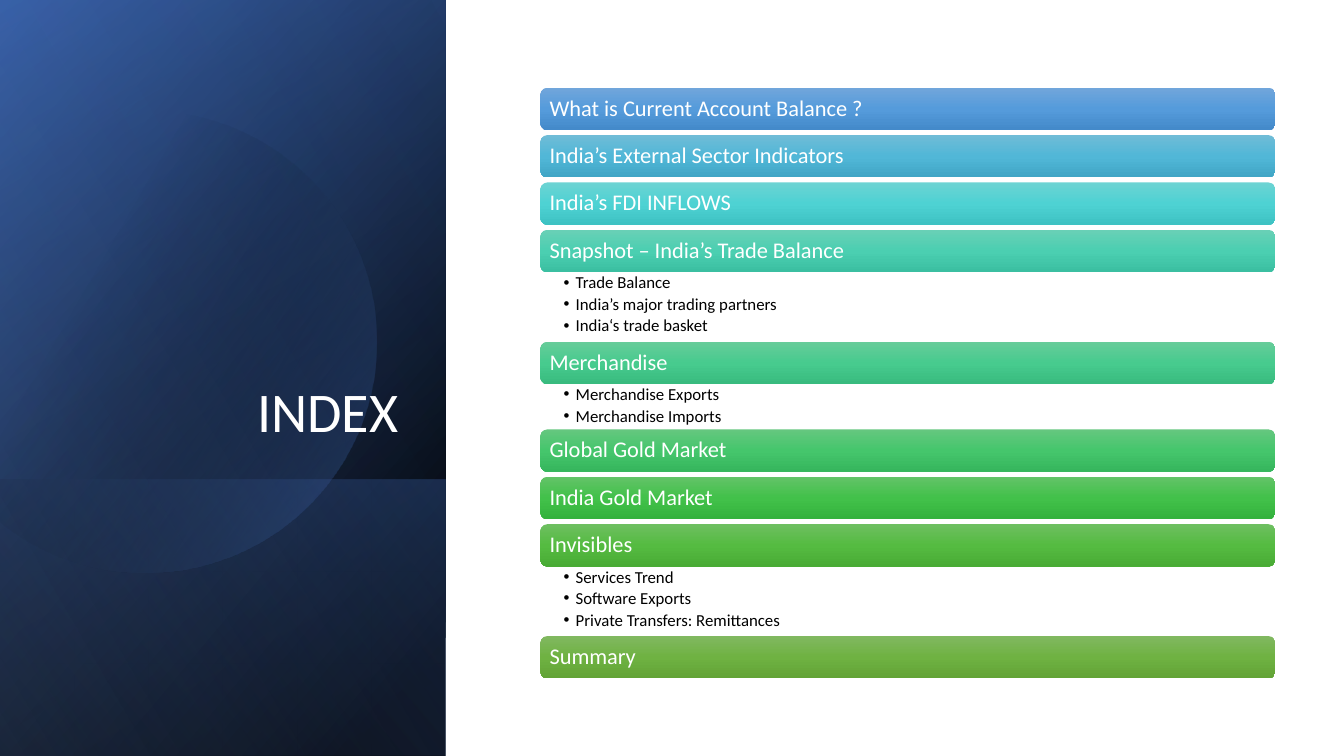
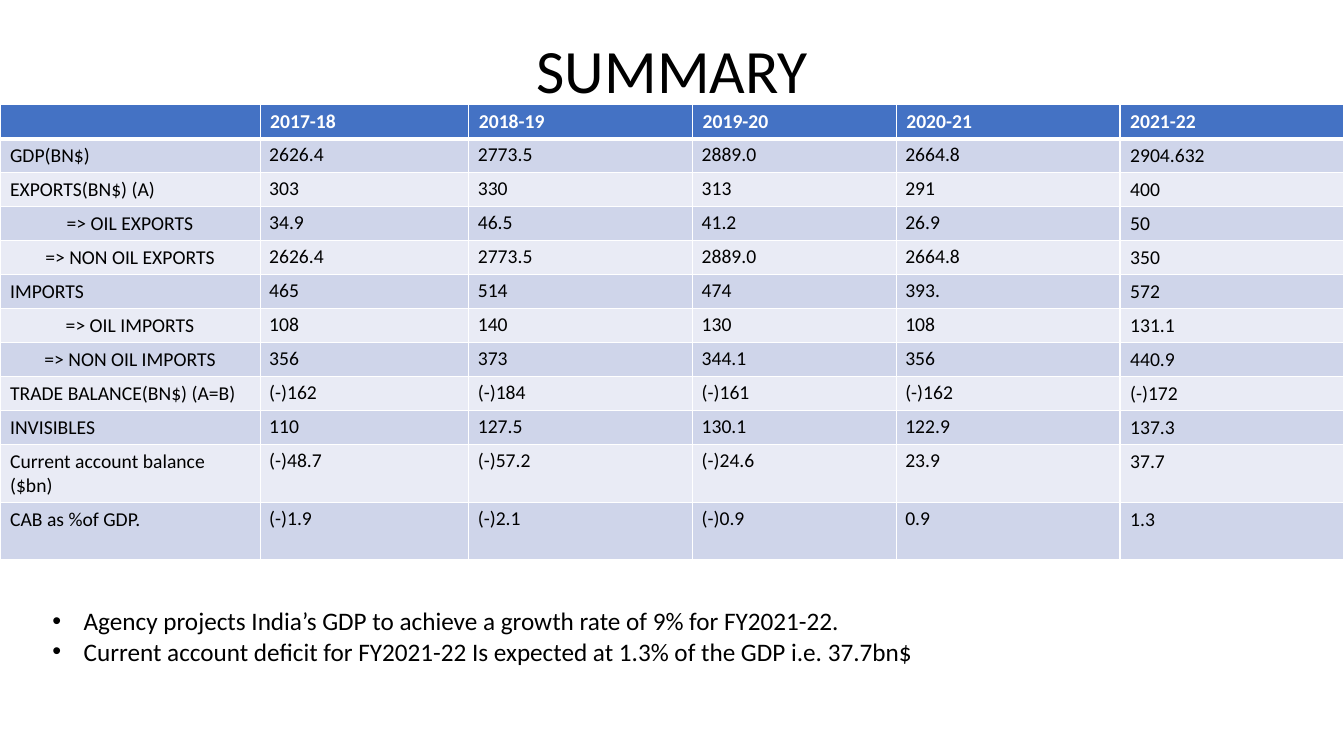
from dataclasses import dataclass
from math import acos, cos, sin

from lxml import etree
from pptx import Presentation
from pptx.dml.color import RGBColor
from pptx.enum.shapes import MSO_SHAPE
from pptx.enum.text import MSO_ANCHOR, MSO_AUTO_SIZE, PP_ALIGN
from pptx.oxml.ns import qn
from pptx.util import Inches, Pt

RECT, ROUND_RECT = MSO_SHAPE.RECTANGLE, MSO_SHAPE.ROUNDED_RECTANGLE
LEFT, CENTER, RIGHT = PP_ALIGN.LEFT, PP_ALIGN.CENTER, PP_ALIGN.RIGHT
TOP, MIDDLE, BOTTOM = MSO_ANCHOR.TOP, MSO_ANCHOR.MIDDLE, MSO_ANCHOR.BOTTOM
NO_AUTOFIT = MSO_AUTO_SIZE.NONE


@dataclass(frozen=True)
class Theme:
    font: str = "Calibri"
    white: str = "FFFFFF"
    black: str = "000000"
    accent: str = "4472C4"
    accent_dark: str = "2F5597"
    accent_light: str = "8FAADC"
    row_odd: str = "CFD5EA"
    row_even: str = "E9EBF5"
    index_title: int = 40
    title: int = 44
    body: int = 18
    bar: int = 16
    cell: int = 14
    sub_item: int = 12


THEME = Theme()
SLIDE_W, SLIDE_H = 13.33, 7.5
PANEL_W = 4.42

INDEX = [  # heading, gradient from top to bottom, sub-items
    ("What is Current Account Balance ?", ("71A6DB", "559BDB", "448ACA"), []),
    ("India’s External Sector Indicators", ("6FBCD7", "51B7D7", "41A6C6"), []),
    ("India’s FDI INFLOWS", ("6CD3D3", "4ED2D3", "3EC2C3"), []),
    ("Snapshot – India’s Trade Balance", ("69D0B6", "4BCFB1", "3BBFA1"),
     ["Trade Balance", "India’s major trading partners", "India‘s trade basket"]),
    ("Merchandise", ("67CC9A", "47CB8E", "39BB7F"),
     ["Merchandise Exports", "Merchandise Imports"]),
    ("Global Gold Market", ("65C77F", "45C66C", "36B65D"), []),
    ("India Gold Market", ("63C368", "42C14A", "34B23D"), []),
    ("Invisibles", ("6EBF61", "55BB41", "49AB35"),
     ["Services Trend", "Software Exports", "Private Transfers: Remittances"]),
    ("Summary", ("81B861", "6FB242", "62A336"), []),
]

SUMMARY = [
    ("", "2017-18", "2018-19", "2019-20", "2020-21", "2021-22"),
    ("GDP(BN$)", "2626.4", "2773.5", "2889.0", "2664.8", "2904.632"),
    ("EXPORTS(BN$) (A)", "303", "330", "313", "291", "400"),
    ("=> OIL EXPORTS", "34.9", "46.5", "41.2", "26.9", "50"),
    ("=> NON OIL EXPORTS", "2626.4", "2773.5", "2889.0", "2664.8", "350"),
    ("IMPORTS", "465", "514", "474", "393.", "572"),
    ("=> OIL IMPORTS", "108", "140", "130", "108", "131.1"),
    ("=> NON OIL IMPORTS", "356", "373", "344.1", "356", "440.9"),
    ("TRADE BALANCE(BN$) (A=B)", "(-)162", "(-)184", "(-)161", "(-)162", "(-)172"),
    ("INVISIBLES", "110", "127.5", "130.1", "122.9", "137.3"),
    ("Current account balance ($bn)", "(-)48.7", "(-)57.2", "(-)24.6", "23.9", "37.7"),
    ("CAB as %of GDP.", "(-)1.9", "(-)2.1", "(-)0.9", "0.9", "1.3"),
]
COLUMN_WIDTHS = (2.58, 2.07, 2.22, 2.02, 2.22, 2.22)
ROW_H, TALL_ROW_H = 0.33, 0.57
TALL_ROWS = (10, 11)

OUTLOOK = [
    "Agency projects India’s GDP to achieve a growth rate of 9% for FY2021-22.",
    "Current account deficit for FY2021-22 Is expected at 1.3% of the GDP i.e. 37.7bn$",
]


def write_text(tf, lines, *, size, color=THEME.black, bold=False, align=LEFT, anchor=TOP,
               insets=None, line_spacing=1.0, space_after=0, bullet_indent=None):
    """Fill a text frame with one paragraph per line; insets are left, top, right, bottom."""
    tf.word_wrap = True
    tf.auto_size = NO_AUTOFIT
    tf.vertical_anchor = anchor
    if insets:
        tf.margin_left, tf.margin_top, tf.margin_right, tf.margin_bottom = map(Inches, insets)
    for i, line in enumerate(lines):
        p = tf.paragraphs[0] if i == 0 else tf.add_paragraph()
        if bullet_indent:
            add_bullet(p, bullet_indent)
        p.alignment = align
        p.line_spacing = line_spacing
        p.space_before = Pt(0)
        p.space_after = Pt(space_after)
        if not line:
            etree.SubElement(p._p, qn("a:endParaRPr"), sz=str(size * 100))
            continue
        r = p.add_run()
        r.text = line
        r.font.name = THEME.font
        r.font.size = Pt(size)
        r.font.bold = bold
        r.font.color.rgb = RGBColor.from_string(color)


def add_bullet(p, indent):
    pPr = p._p.get_or_add_pPr()
    pPr.set("marL", str(Inches(indent)))
    pPr.set("indent", str(-Inches(indent)))
    etree.SubElement(pPr, qn("a:buFont"), typeface="Arial")
    etree.SubElement(pPr, qn("a:buChar"), char="•")


def place(sp, left, top, width, height):
    sp.left, sp.top, sp.width, sp.height = map(Inches, (left, top, width, height))


def paint_gradient(sp, stops, angle):
    """Give a shape a borderless gradient; stops are (position %, colour, opacity %)."""
    sp.shadow.inherit = False
    sp.line.fill.background()
    sp.fill.gradient()
    sp.fill.gradient_angle = 360 - angle
    stop_list = sp._element.spPr.find(".//" + qn("a:gsLst"))
    for old in list(stop_list):
        stop_list.remove(old)
    for position, color, opacity in stops:
        gs = etree.SubElement(stop_list, qn("a:gs"), pos=str(position * 1000))
        clr = etree.SubElement(gs, qn("a:srgbClr"), val=color)
        if opacity < 100:
            etree.SubElement(clr, qn("a:alpha"), val=str(opacity * 1000))


def add_panel(slide, top, height, stops, angle):
    """Add a layer of the left panel: a mirrored rectangle turned by 90 degrees."""
    sp = slide.shapes.add_shape(RECT, 0, 0, 0, 0)
    place(sp, (PANEL_W - height) / 2, top + (height - PANEL_W) / 2, height, PANEL_W)
    sp.rotation = 90
    sp._element.spPr.find(qn("a:xfrm")).set("flipH", "1")
    paint_gradient(sp, stops, angle)


def add_disc(slide, cx, cy, radius, stops, angle, steps=120):
    """Add a disc that is cut off at the slide's left edge."""
    edge = acos(-cx / radius)
    turns = [edge * (2 * i / steps - 1) for i in range(steps + 1)]
    points = [(Inches(cx + radius * cos(t)), Inches(cy + radius * sin(t))) for t in turns]
    builder = slide.shapes.build_freeform(*points[0], scale=1.0)
    builder.add_line_segments(points[1:], close=True)
    paint_gradient(builder.convert_to_shape(), stops, angle)


def add_index_list(slide, left=5.36, top=0.87, width=7.29, bar_h=0.42, gap=0.05):
    for heading, colors, items in INDEX:
        bar = slide.shapes.add_shape(ROUND_RECT, 0, 0, 0, 0)
        place(bar, left, top, width, bar_h)
        paint_gradient(bar, [(pos, c, 100) for pos, c in zip((0, 50, 100), colors)], 90)
        write_text(bar.text_frame, [heading], size=THEME.bar, color=THEME.white, anchor=MIDDLE,
                   insets=(0.07, 0.05, 0.07, 0.05), line_spacing=0.9)
        top += bar_h
        if not items:
            top += gap
            continue
        items_h = 0.24 * len(items) - 0.03
        box = slide.shapes.add_textbox(*map(Inches, (left, top, width, items_h)))
        write_text(box.text_frame, items, size=THEME.sub_item, insets=(0.23, 0.02, 0.12, 0.02),
                   line_spacing=0.9, space_after=2.4, bullet_indent=0.12)
        top += items_h


def set_borders(cell, **widths):
    """Draw white borders; widths in points are keyed L, R, T, B."""
    tcPr = cell._tc.get_or_add_tcPr()
    for side, width in widths.items():
        ln = etree.SubElement(tcPr, qn("a:ln" + side), w=str(Pt(width)))
        fill = etree.SubElement(ln, qn("a:solidFill"))
        etree.SubElement(fill, qn("a:srgbClr"), val=THEME.white)


def add_summary_table(slide, left=0, top=1.04):
    heights = [TALL_ROW_H if i in TALL_ROWS else ROW_H for i in range(len(SUMMARY))]
    frame = slide.shapes.add_table(len(SUMMARY), len(COLUMN_WIDTHS), Inches(left), Inches(top),
                                   Inches(SLIDE_W), Inches(sum(heights)))
    table = frame.table
    for column, width in zip(table.columns, COLUMN_WIDTHS):
        column.width = Inches(width)
    for i, values in enumerate(SUMMARY):
        table.rows[i].height = Inches(heights[i])
        header = i == 0
        fill = THEME.accent if header else THEME.row_odd if i % 2 else THEME.row_even
        for j, value in enumerate(values):
            cell = table.cell(i, j)
            set_borders(cell, L=1, R=1, T=3 if i == 1 else 1, B=3 if header else 1)
            cell.fill.solid()
            cell.fill.fore_color.rgb = RGBColor.from_string(fill)
            if not header and 0 < j < len(values) - 1:
                cell.margin_left = cell.margin_right = Inches(0.09)
                cell.margin_top = cell.margin_bottom = Inches(0.04)
            write_text(cell.text_frame, [value], size=THEME.cell, bold=header,
                       color=THEME.white if header else THEME.black,
                       align=CENTER if value.startswith("=>") else LEFT)


def set_title(slide, text, box, **text_format):
    title = slide.shapes.title
    place(title, *box)
    write_text(title.text_frame, [text], line_spacing=0.9, **text_format)
    slide.shapes._spTree.append(title._element)


def build_index(prs):
    slide = prs.slides.add_slide(prs.slide_layouts[5])
    black, accent = THEME.black, THEME.accent
    add_panel(slide, 0, SLIDE_H, [(8, black, 100), (100, THEME.accent_dark, 100)], 50)
    add_panel(slide, 0, SLIDE_H, [(0, black, 0), (99, accent, 46)], 30)
    add_panel(slide, 4.76, 2.74, [(2, accent, 29), (100, black, 30)], 130)
    add_disc(slide, 1.44, 3.39, 2.29, [(29, black, 0), (100, accent, 43)], 30)
    add_panel(slide, 0, SLIDE_H, [(0, black, 0), (99, THEME.accent_light, 11)], 120)
    set_title(slide, "INDEX", (0.64, 1.84, 3.41, 2.62), size=THEME.index_title,
              color=THEME.white, align=RIGHT, anchor=BOTTOM)
    add_index_list(slide)


def build_summary(prs):
    slide = prs.slides.add_slide(prs.slide_layouts[1])
    set_title(slide, "SUMMARY", (0.92, 0, 11.5, 1.45), size=THEME.title,
              align=CENTER, anchor=MIDDLE)
    add_summary_table(slide)
    body = slide.placeholders[1]
    place(body, 0.42, 5.96, 12.47, 0.71)
    write_text(body.text_frame, OUTLOOK, size=THEME.body, bullet_indent=0.31)


def main():
    prs = Presentation()
    prs.slide_width, prs.slide_height = Inches(SLIDE_W), Inches(SLIDE_H)
    build_index(prs)
    build_summary(prs)
    prs.save("out.pptx")


if __name__ == "__main__":
    main()
